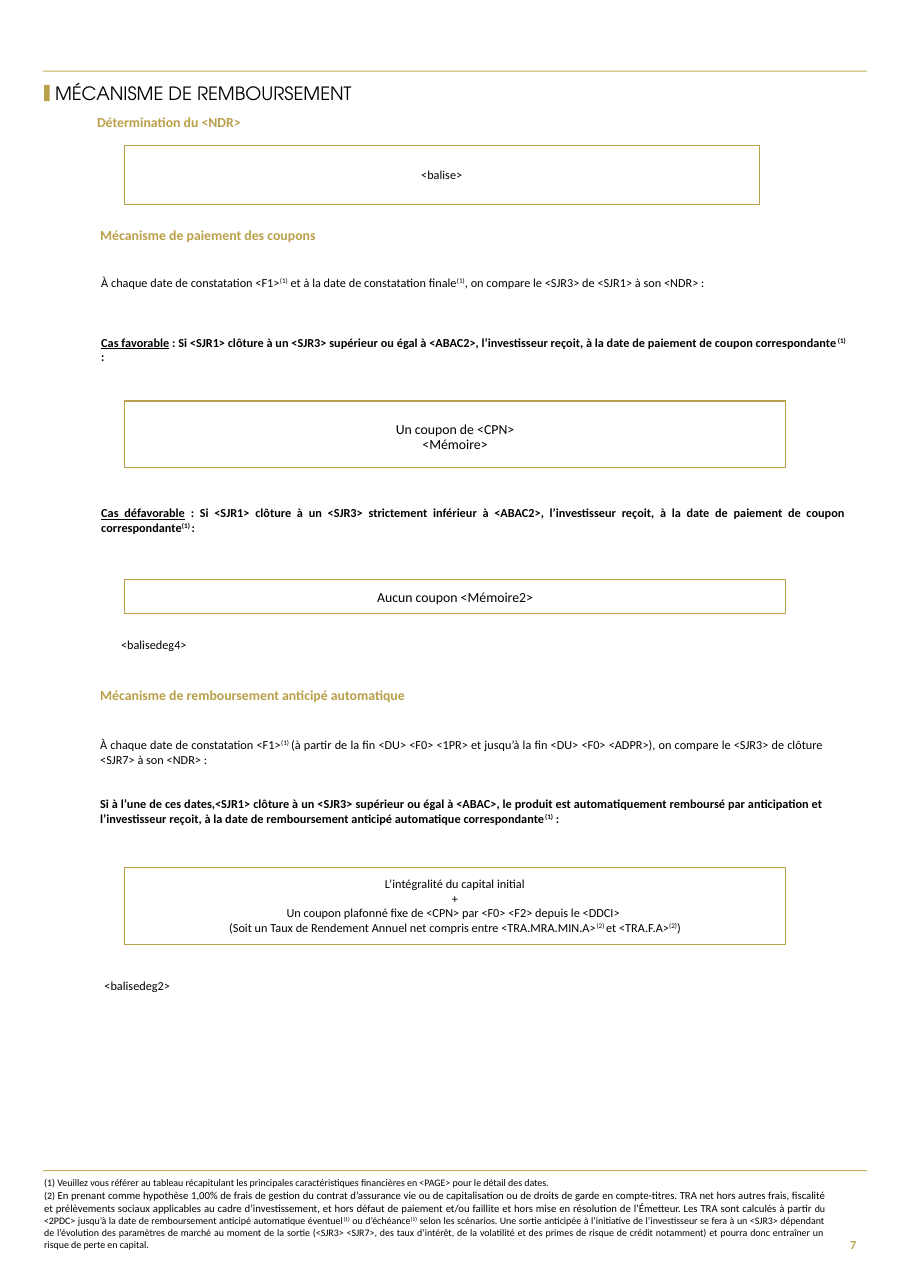
from pptx import Presentation
from pptx.dml.color import RGBColor
from pptx.enum.shapes import MSO_SHAPE
from pptx.enum.text import MSO_ANCHOR, PP_ALIGN
from pptx.util import Pt

RECTANGLE = MSO_SHAPE.RECTANGLE
TOP, MIDDLE = MSO_ANCHOR.TOP, MSO_ANCHOR.MIDDLE
LEFT, CENTER, RIGHT, JUSTIFY = PP_ALIGN.LEFT, PP_ALIGN.CENTER, PP_ALIGN.RIGHT, PP_ALIGN.JUSTIFY
COLORS = {"gold": "B9A049", "rule": "C5AF5C", "text": "000000", "white": "FFFFFF"}
BODY_FONT, TITLE_FONT = "Calibri", "TeX Gyre Adventor"
NOTE_1, NOTE_2 = ("(1)", "super"), ("(2)", "super")
NOTE_1_SPACED, NOTE_2_SPACED = ("(1) ", "super"), ("(2) ", "super")


def color(name):
    return RGBColor.from_string(COLORS[name])


def set_insets(frame, horizontal, top, bottom):
    frame.margin_left = frame.margin_right = Pt(horizontal)
    frame.margin_top, frame.margin_bottom = Pt(top), Pt(bottom)


def add_runs(paragraph, parts):
    for part in parts:
        text, style = (part, "") if isinstance(part, str) else part
        run = paragraph.add_run()
        run.text = text
        if style == "super":
            run.font._element.set("baseline", "30000")
        elif style == "underline":
            run.font.underline = True
        elif style == "large":
            run.font.size = Pt(7)


def write(frame, paragraphs, size=8, align=JUSTIFY, tint="text", bold=False,
          font=BODY_FONT, spacing=None, indent=0):
    frame.word_wrap = True
    for index, parts in enumerate(paragraphs):
        paragraph = frame.paragraphs[0] if index == 0 else frame.add_paragraph()
        paragraph.alignment = align
        if spacing:
            paragraph.line_spacing = spacing
        if indent:
            properties = paragraph._p.get_or_add_pPr()
            properties.set("marL", str(Pt(indent)))
            properties.set("indent", "0")
        paragraph.font.name = font
        paragraph.font.size = Pt(size)
        paragraph.font.bold = bold
        paragraph.font.color.rgb = color(tint)
        add_runs(paragraph, parts)


def add_text(slide, left, top, width, height, paragraphs, anchor=TOP,
             insets=(0, 0, 0), **style):
    shape = slide.shapes.add_textbox(Pt(left), Pt(top), Pt(width), Pt(height))
    set_insets(shape.text_frame, *insets)
    shape.text_frame.vertical_anchor = anchor
    write(shape.text_frame, paragraphs, **style)
    return shape.text_frame


def add_bar(slide, left, top, width, height, fill):
    shape = slide.shapes.add_shape(RECTANGLE, Pt(left), Pt(top), Pt(width), Pt(height))
    shape.shadow.inherit = False
    shape.fill.solid()
    shape.fill.fore_color.rgb = color(fill)
    shape.line.fill.background()


def add_payoff(slide, left, top, width, height, paragraphs, line=0.75,
               insets=(8.6, 5.8, 5.8), **style):
    shape = slide.shapes.add_shape(RECTANGLE, Pt(left), Pt(top), Pt(width), Pt(height))
    shape.shadow.inherit = False
    shape.fill.solid()
    shape.fill.fore_color.rgb = color("white")
    shape.line.color.rgb = color("gold")
    shape.line.width = Pt(line)
    set_insets(shape.text_frame, *insets)
    shape.text_frame.vertical_anchor = MIDDLE
    write(shape.text_frame, paragraphs, align=CENTER, **style)


def add_heading(slide, left, top, width, text):
    add_text(slide, left, top, width, 12.5, [[text]], size=9, tint="gold",
             bold=True, indent=14.4)


def add_tag(slide, left, top, width, text):
    add_text(slide, left, top, width, 17.3, [[text]], align=LEFT, insets=(7.2, 3.6, 3.6))


def header(slide, left, top, width):
    add_bar(slide, left, top, width, 0.7, "rule")
    add_bar(slide, left + 0.7, top + 9.3, 3.6, 10.8, "gold")
    add_text(slide, left + 7.9, top + 6.5, 303, 18, [["MÉCANISME DE REMBOURSEMENT"]],
             anchor=MIDDLE, size=12, align=LEFT, font=TITLE_FONT, spacing=0.9)


def level_section(slide, left, top, width):
    add_heading(slide, left, top, 228, "Détermination du <NDR>")
    add_payoff(slide, left + 32.4, top + 20.8, width - 72.7, 38.9, [["<balise>"]],
               line=0.5, insets=(8.6, 14.4, 14.4))


def coupon_section(slide, left, top, width):
    text_left = left + 15.1
    box_left, box_width = left + 30.3, width - 55.4
    add_heading(slide, left, top, width, "Mécanisme de paiement des coupons")
    add_text(slide, text_left, top + 31.7, 473, 9.4, [[
        "À chaque date de constatation <F1>", NOTE_1,
        " et à la date de constatation finale", NOTE_1,
        ", on compare le <SJR3> de <SJR1> à son <NDR> :"]])
    cases = [
        (70.6, "Cas favorable", "supérieur ou égal"),
        (182.2, "Cas défavorable", "strictement inférieur"),
    ]
    for offset, label, comparison in cases:
        add_text(slide, text_left, top + offset, 486.7, 19.4, [[
            (label, "underline"),
            f" : Si <SJR1> clôture à un <SJR3> {comparison} à <ABAC2>, l’investisseur "
            "reçoit, à la date de paiement de coupon correspondante",
            NOTE_1_SPACED, ": "]], bold=True)
    add_payoff(slide, box_left, top + 113.8, box_width, 43.2,
               [["Un coupon de <CPN>"], ["<Mémoire>"]],
               insets=(8.6, 10.8, 5.8), size=9, spacing=0.9)
    add_payoff(slide, box_left, top + 230.4, box_width, 22.3,
               [["Aucun coupon <Mémoire2>"]], size=9)
    add_tag(slide, left + 20.9, top + 264.3, 475, "<balisedeg4>")


def early_redemption_section(slide, left, top, width):
    add_heading(slide, left, top, width, "Mécanisme de remboursement anticipé automatique")
    frame = add_text(slide, left + 14.4, top + 33.1, 473, 58.3, [
        ["À chaque date de constatation <F1>", NOTE_1_SPACED,
         "(à partir de la fin <DU> <F0> <1PR> et jusqu’à la fin <DU> <F0> <ADPR>), "
         "on compare le <SJR3> de clôture <SJR7> à son <NDR> :"],
        ["Si à l’une de ces dates,<SJR1> clôture à un <SJR3> supérieur ou égal à <ABAC>, "
         "le produit est automatiquement remboursé par anticipation et l’investisseur "
         "reçoit, à la date de remboursement anticipé automatique correspondante",
         NOTE_1, " :"]])
    condition = frame.paragraphs[1]
    condition.space_before = Pt(19.5)
    condition.font.bold = True
    add_payoff(slide, left + 30.3, top + 118, width - 55.4, 50.4, [
        ["L’intégralité du capital initial"],
        ["+"],
        ["Un coupon plafonné fixe de <CPN> par <F0> <F2> depuis le <DDCI> "],
        ["(Soit un Taux de Rendement Annuel net compris entre <TRA.MRA.MIN.A>",
         NOTE_2_SPACED, "et <TRA.F.A>", NOTE_2, ")"]], line=0.5)
    add_tag(slide, left + 10.1, top + 187.2, 472.3, "<balisedeg2>")


def footer(slide, left, top, width):
    add_bar(slide, left, top, width, 0.7, "rule")
    add_text(slide, left + width - 28.1, top + 33.9, 28.1, 30.2, [["7"]], anchor=MIDDLE,
             insets=(7.2, 3.6, 3.6), align=RIGHT, tint="gold", bold=True)
    add_text(slide, left + 0.7, top + 4.3, 510.5, 49, [
        ["(1) Veuillez vous référer au tableau récapitulant les principales "
         "caractéristiques financières en <PAGE> pour le détail des dates. "],
        ["(2) ",
         ("En prenant comme hypothèse 1,00% de frais de gestion du contrat d’assurance "
          "vie ou de capitalisation ou de droits de garde en compte-titres. TRA net hors "
          "autres frais, fiscalité et prélèvements sociaux applicables au cadre "
          "d’investissement, et hors défaut de paiement et/ou faillite et hors mise en "
          "résolution de l’Émetteur. Les TRA sont calculés à partir ", "large"),
         "du <2PDC> jusqu’à la date de remboursement anticipé automatique éventuel",
         NOTE_1, " ou d’échéance", NOTE_1,
         " selon les scénarios. Une sortie anticipée à l’initiative de l’investisseur se "
         "fera à un <SJR3> dépendant de l’évolution des paramètres de marché au moment de "
         "la sortie (<SJR3> <SJR7>, des taux d’intérêt, de la volatilité et des primes "
         "de risque de crédit notamment) et pourra donc entraîner un risque de perte en "
         "capital."]], size=6.5)


def main():
    presentation = Presentation()
    presentation.slide_width, presentation.slide_height = Pt(595.4), Pt(841.7)
    slide = presentation.slides.add_slide(presentation.slide_layouts[6])
    header(slide, 28.1, 46.1, 538.6)
    level_section(slide, 49, 74.2, 487.4)
    coupon_section(slide, 51.1, 148.3, 487.4)
    early_redemption_section(slide, 51.1, 448.6, 487.4)
    footer(slide, 28.1, 764.6, 538.6)
    presentation.save("out.pptx")


if __name__ == "__main__":
    main()
